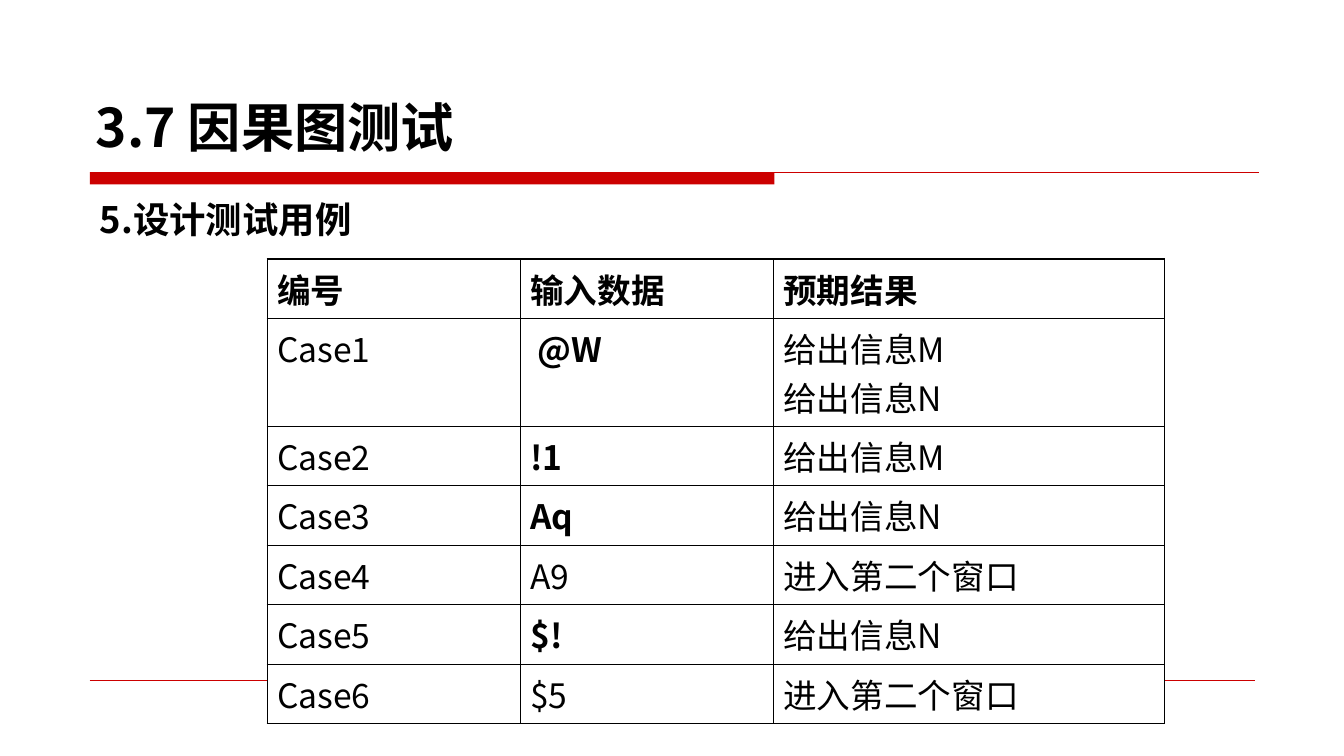
"""Build the slide listing the test cases of cause-effect graph testing."""
from dataclasses import dataclass

from lxml import etree
from pptx import Presentation
from pptx.dml.color import RGBColor
from pptx.enum.shapes import MSO_CONNECTOR, MSO_SHAPE
from pptx.enum.text import MSO_ANCHOR, PP_ALIGN
from pptx.oxml.ns import qn
from pptx.slide import Slide
from pptx.table import _Cell
from pptx.text.text import TextFrame
from pptx.util import Inches, Pt

STRAIGHT = MSO_CONNECTOR.STRAIGHT
RECTANGLE = MSO_SHAPE.RECTANGLE
TOP, BOTTOM = MSO_ANCHOR.TOP, MSO_ANCHOR.BOTTOM
JUSTIFY, LEFT = PP_ALIGN.JUSTIFY, PP_ALIGN.LEFT

RED = RGBColor(0xCC, 0x00, 0x00)
BLACK = RGBColor(0x00, 0x00, 0x00)
WHITE = RGBColor(0xFF, 0xFF, 0xFF)
FONT = "Noto Sans CJK SC"
COL_WIDTHS = (2.51, 2.51, 3.88)
ROW_HEIGHT, TALL_ROW_HEIGHT = 0.59, 1.07
HEADER = ("编号", "输入数据", "预期结果")


@dataclass(frozen=True)
class Case:
    data: str
    result: str
    bold: bool = False


@dataclass(frozen=True)
class Rule:
    left: float
    right: float
    y: float
    width: float


@dataclass(frozen=True)
class TextBox:
    text: str
    box: tuple[float, float, float, float]
    size: float
    anchor: MSO_ANCHOR
    paragraph: dict


CASES = (
    Case(" @W", "给出信息M\n给出信息N", True),
    Case("!1", "给出信息M", True),
    Case("Aq", "给出信息N", True),
    Case("A9", "进入第二个窗口"),
    Case("$!", "给出信息N", True),
    Case("$5", "进入第二个窗口"),
)
RULES = (Rule(0.89, 12.49, 1.71, 0.75), Rule(0.89, 12.45, 6.75, 0.25))
TEXTS = (
    TextBox("5.设计测试用例", (0.89, 1.78, 8.62, 5.53), 26, TOP,
            {"alignment": JUSTIFY, "line_spacing": 1.3, "space_before": Pt(5.2)}),
    TextBox("3.7 因果图测试", (0.85, 0.29, 8.75, 1.33), 38, BOTTOM,
            {"alignment": LEFT}),
)


def write(tf: TextFrame, text: str, size: float, bold: bool, paragraph: dict) -> None:
    """Fill a text frame, one paragraph for each line of text."""
    font = {"name": FONT, "size": Pt(size), "bold": bold}
    for i, line in enumerate(text.split("\n")):
        p = tf.add_paragraph() if i else tf.paragraphs[0]
        for name, value in paragraph.items():
            setattr(p, name, value)
        r = p.add_run()
        r.text = line
        for name, value in font.items():
            setattr(r.font, name, value)
        r.font.color.rgb = BLACK
        etree.SubElement(r.font._element, qn("a:ea"), typeface=FONT)


def add_bar(s: Slide) -> None:
    """Draw the thick red bar below the title."""
    sp = s.shapes.add_shape(RECTANGLE, Inches(0.89), Inches(1.71), Inches(6.79), Inches(0.12))
    sp.shadow.inherit = False
    sp.fill.solid()
    sp.fill.fore_color.rgb = RED
    sp.line.fill.background()


def add_rule(s: Slide, rule: Rule) -> None:
    """Draw a thin red horizontal line."""
    y = Inches(rule.y)
    line = s.shapes.add_connector(STRAIGHT, Inches(rule.left), y, Inches(rule.right), y)
    line.line.color.rgb = RED
    line.line.width = Pt(rule.width)
    etree.SubElement(line._element.spPr, qn("a:effectLst"))


def add_text(s: Slide, item: TextBox) -> None:
    """Add a bold text box."""
    tf = s.shapes.add_textbox(*map(Inches, item.box)).text_frame
    tf.word_wrap = True
    tf.vertical_anchor = item.anchor
    write(tf, item.text, item.size, True, item.paragraph)


def style_cell(cell: _Cell) -> None:
    """Give a cell black borders and a white fill."""
    tc_pr = cell._tc.get_or_add_tcPr()
    for side in ("lnL", "lnR", "lnT", "lnB"):
        border = etree.SubElement(tc_pr, qn(f"a:{side}"), w=str(Pt(1)))
        fill = etree.SubElement(border, qn("a:solidFill"))
        etree.SubElement(fill, qn("a:srgbClr"), val=str(BLACK))
    cell.fill.solid()
    cell.fill.fore_color.rgb = WHITE


def add_case_table(s: Slide) -> None:
    """Add the table of numbered test cases."""
    rows = [[(text, True) for text in HEADER]]
    for n, case in enumerate(CASES, 1):
        rows.append([(f"Case{n}", False), (case.data, case.bold), (case.result, False)])
    table = s.shapes.add_table(len(rows), len(HEADER), Inches(2.65), Inches(2.57),
                               Inches(sum(COL_WIDTHS)), Inches(4.62)).table
    table.first_row = table.horz_banding = False
    for col, width in zip(table.columns, COL_WIDTHS):
        col.width = Inches(width)
    for i, row in enumerate(rows):
        tall = any("\n" in text for text, _ in row)
        table.rows[i].height = Inches(TALL_ROW_HEIGHT if tall else ROW_HEIGHT)
        for j, (text, bold) in enumerate(row):
            cell = table.cell(i, j)
            style_cell(cell)
            write(cell.text_frame, text, 24, bold, {})


def main() -> None:
    """Build and save the slide."""
    prs = Presentation()
    prs.slide_width, prs.slide_height = Inches(13.33), Inches(7.5)
    s = prs.slides.add_slide(prs.slide_layouts[6])
    add_bar(s)
    for rule in RULES:
        add_rule(s, rule)
    body, title = TEXTS
    add_text(s, body)
    add_case_table(s)
    add_text(s, title)
    prs.save("out.pptx")


if __name__ == "__main__":
    main()
